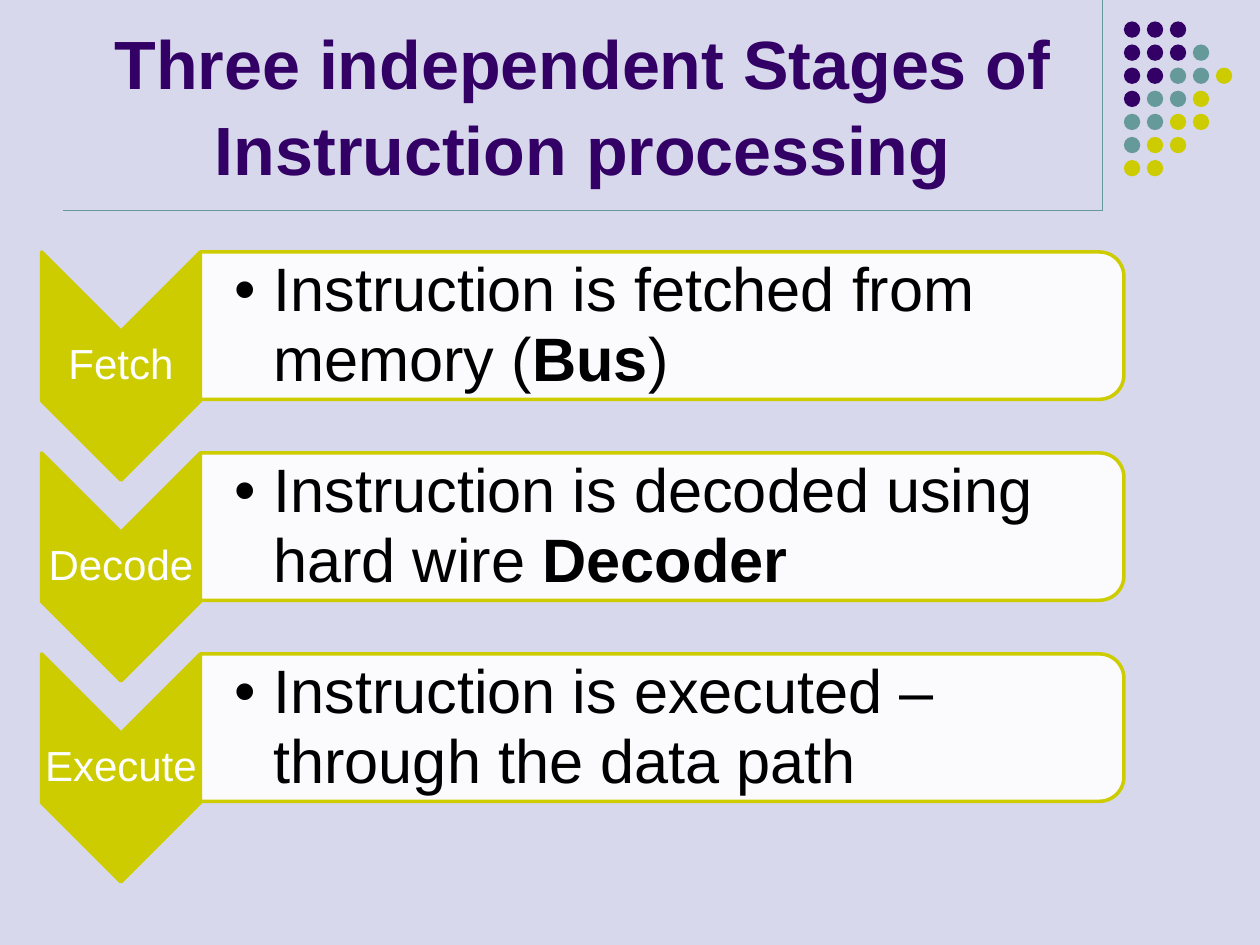
from pptx import Presentation
from pptx.dml.color import RGBColor
from pptx.enum.shapes import MSO_CONNECTOR as Link, MSO_SHAPE as Kind
from pptx.enum.text import MSO_ANCHOR as Anchor, MSO_AUTO_SIZE as Fit, PP_ALIGN as Align
from pptx.oxml.ns import qn
from pptx.util import Inches, Pt
from lxml.etree import SubElement as Sub

PURPLE = RGBColor(0x33, 0x00, 0x66)
TEAL = RGBColor(0x66, 0x99, 0x99)
LIME = RGBColor(0xCC, 0xCC, 0x00)
PALE = RGBColor(0xD8, 0xD8, 0xEC)
WHITE = RGBColor(0xFF, 0xFF, 0xFF)
BLACK = RGBColor(0x00, 0x00, 0x00)

HEAD = {"name": "Arial", "size": Pt(39), "bold": True}
LABEL = {"name": "Arial", "size": Pt(24)}
BODY = {"name": "Arial", "size": Pt(35)}
SMALL = Inches(0.02)
TIGHT = {"margin_left": SMALL, "margin_right": SMALL, "margin_top": SMALL,
         "margin_bottom": SMALL, "word_wrap": True, "vertical_anchor": Anchor.MIDDLE}

INKS = {"P": PURPLE, "T": TEAL, "L": LIME}
DOTS = ["PPP", "PPPT", "PPTTL", "PTTL", "TTLL", "TLL", "LL"]
STAGES = [
    ("Fetch", [("Instruction is fetched from memory (", False), ("Bus", True), (")", False)]),
    ("Decode", [("Instruction is decoded using hard wire ", False), ("Decoder", True)]),
    ("Execute", [("Instruction is executed – through the data path", False)]),
]


def style(item, values):
    """Set each named value on the item."""
    for name, value in values.items():
        setattr(item, name, value)


def write(para, text, look, color):
    """Add one formatted run to a paragraph."""
    run = para.add_run()
    run.text = text
    style(run.font, look)
    run.font.color.rgb = color


def shape(shapes, kind, box, fill, line=None):
    """Add a flat preset shape with an optional outline."""
    item = shapes.add_shape(kind, *map(Inches, box))
    item.shadow.inherit = False
    item.fill.solid()
    item.fill.fore_color.rgb = fill
    if line is None:
        item.line.fill.background()
    else:
        item.line.color.rgb = line
        item.line.width = Pt(2)
    return item


def turned(shapes, kind, box, fill):
    """Add a shape turned a quarter right that covers the given box."""
    x, y, w, h = box
    item = shape(shapes, kind, (x + (w - h) / 2, y + (h - w) / 2, h, w), fill, LIME)
    item.rotation = 90
    return item


def textbox(shapes, box, frame):
    """Add a text box and return its first paragraph."""
    area = shapes.add_textbox(*map(Inches, box)).text_frame
    style(area, {**TIGHT, **frame})
    return area.paragraphs[0]


def rule(slide, *ends):
    """Draw a thin teal line between two points."""
    line = slide.shapes.add_connector(Link.STRAIGHT, *map(Inches, ends))
    line.line.color.rgb = TEAL
    line.line.width = Pt(0.75)
    Sub(line._element.spPr, qn("a:effectLst"))


def header(slide, box):
    """Place the title in the box with rules below and beside it."""
    x, y, w, h = box
    rule(slide, x + w, 0, x + w, y + h)
    rule(slide, x, y + h, x + w, y + h)
    title = slide.shapes.title
    style(title, dict(zip(("left", "top", "width", "height"),
                          map(Inches, (x, y, w, h - 0.12)))))
    frame = title.text_frame
    style(frame, {"word_wrap": True, "auto_size": Fit.NONE,
                  "vertical_anchor": Anchor.BOTTOM})
    para = frame.paragraphs[0]
    style(para, {"alignment": Align.CENTER, "line_spacing": 1.05})
    write(para, "Three independent Stages of Instruction processing", HEAD, PURPLE)


def dots(slide, box):
    """Fill the box with the grid of coloured dots."""
    x, y, w, h = box
    size = 0.13
    across = (w - size) / (max(map(len, DOTS)) - 1)
    down = (h - size) / (len(DOTS) - 1)
    group = slide.shapes.add_group_shape().shapes
    for row, inks in enumerate(DOTS):
        for col, ink in enumerate(inks):
            spot = (x + col * across, y + row * down, size, size)
            shape(group, Kind.OVAL, spot, INKS[ink])


def stage(shapes, box, name, parts):
    """Place one chevron with its label and its panel of text."""
    x, y, w, h = box
    wide, tall = 1.26, 1.17
    turned(shapes, Kind.CHEVRON, (x, y, wide, h), LIME)
    para = textbox(shapes, (x, y + wide / 2, wide, h - wide), {})
    style(para, {"alignment": Align.CENTER, "line_spacing": 0.9})
    write(para, name, LABEL, WHITE)

    left, span = x + wide, w - wide
    panel = turned(shapes, Kind.ROUND_2_SAME_RECTANGLE, (left, y, span, tall), WHITE)
    tint = panel._element.spPr.find(qn("a:solidFill")).find(qn("a:srgbClr"))
    Sub(tint, qn("a:alpha"), val="90000")
    para = textbox(shapes, (left, y + 0.06, span - 0.06, tall - 0.12),
                   {"margin_left": Inches(0.27)})
    style(para, {"level": 1, "line_spacing": 0.95})
    props = para._p.get_or_add_pPr()
    props.set("marL", str(Inches(0.31)))
    props.set("indent", str(-Inches(0.31)))
    Sub(props, qn("a:buFont"), typeface="Arial")
    Sub(props, qn("a:buChar"), char="•")
    for text, bold in parts:
        write(para, text, {**BODY, "bold": bold}, BLACK)


def stages(slide, box):
    """Spread the stages evenly down the box."""
    x, y, w, h = box
    tall = 1.81
    step = (h - tall) / (len(STAGES) - 1)
    group = slide.shapes.add_group_shape().shapes
    for row, (name, parts) in enumerate(STAGES):
        stage(group, (x, y + row * step, w, tall), name, parts)


def main():
    """Build the slide and save it."""
    deck = Presentation()
    style(deck, {"slide_width": Inches(10), "slide_height": Inches(7.5)})
    slide = deck.slides.add_slide(deck.slide_layouts[5])
    slide.background.fill.solid()
    slide.background.fill.fore_color.rgb = PALE
    header(slide, (0.5, 0.13, 8.25, 1.54))
    dots(slide, (8.92, 0.17, 0.86, 1.23))
    stages(slide, (0.33, 2, 8.59, 5))
    deck.save("out.pptx")


if __name__ == "__main__":
    main()
